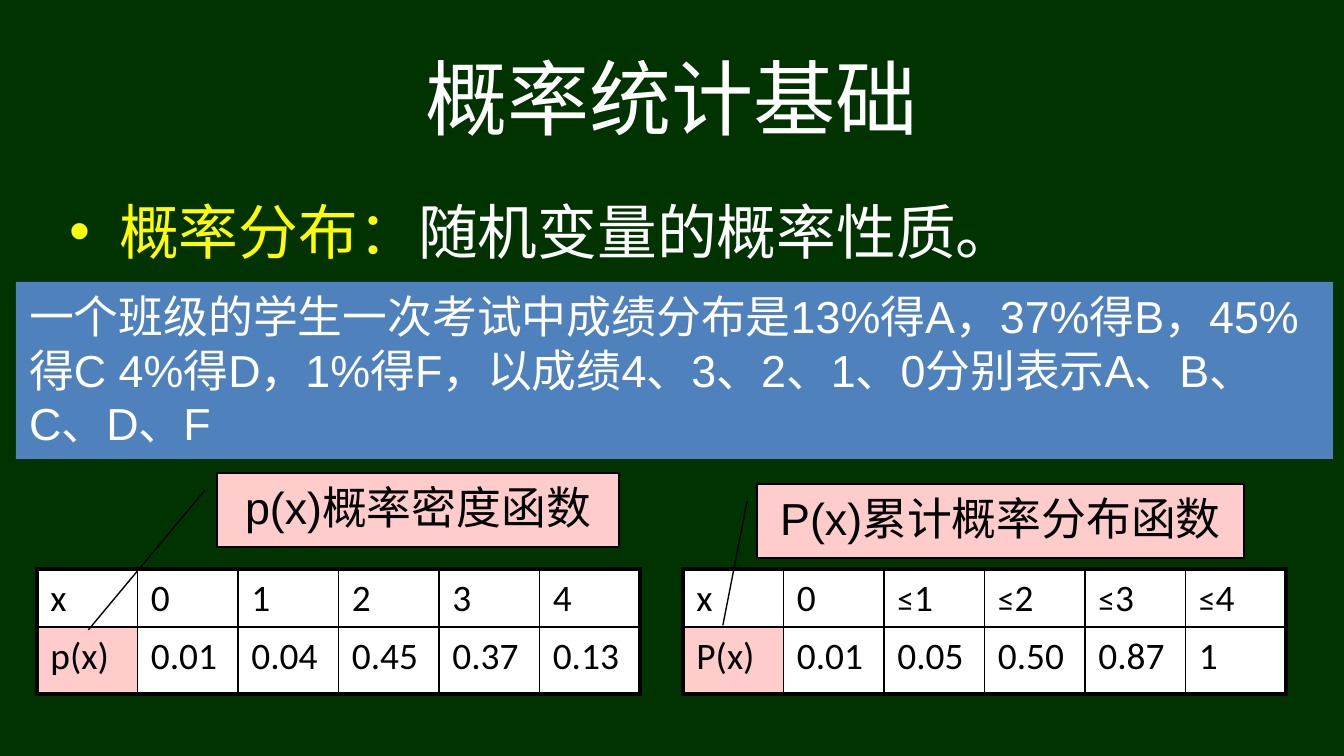
from dataclasses import dataclass

from lxml.etree import SubElement
from pptx import Presentation
from pptx.dml.color import RGBColor
from pptx.enum.shapes import MSO_SHAPE
from pptx.enum.text import MSO_ANCHOR, PP_ALIGN
from pptx.oxml.ns import qn
from pptx.util import Emu, Pt

EMU_PER_PX = 914400 / 134.4


@dataclass(frozen=True)
class Theme:
    background: str = "003300"
    light: str = "FFFFFF"
    dark: str = "000000"
    accent: str = "FFFF00"
    panel: str = "4F81BD"
    pink: str = "FFCCCC"
    font: str = "Arial"
    table_font: str = "Calibri"
    title_size: int = 44
    body_size: int = 32
    note_size: int = 24
    table_size: int = 20
    sign_size: int = 18
    inner_border: float = 1
    outer_border: float = 2.25


THEME = Theme()


@dataclass(frozen=True)
class Box:
    left: int
    top: int
    width: int
    height: int

    def emu(self) -> tuple:
        return tuple(px(n) for n in (self.left, self.top, self.width, self.height))


@dataclass(frozen=True)
class Callout:
    box: Box
    text: str
    adjustments: tuple


@dataclass(frozen=True)
class Distribution:
    box: Box
    rows: tuple
    callout: Callout


ROW_HEIGHTS = (58, 67)
DENSITY = Distribution(
    Box(37, 569, 603, sum(ROW_HEIGHTS)),
    (("x", "0", "1", "2", "3", "4"),
     ("p(x)", "0.01", "0.04", "0.45", "0.37", "0.13")),
    Callout(Box(217, 473, 402, 74), "p(x)概率密度函数", (0.23, -0.03, 2.12, -0.32)),
)
CUMULATIVE = Distribution(
    Box(683, 569, 603, sum(ROW_HEIGHTS)),
    (("x", "0", "≤1", "≤2", "≤3", "≤4"),
     ("P(x)", "0.01", "0.05", "0.50", "0.87", "1")),
    Callout(Box(757, 484, 487, 74), "P(x)累计概率分布函数", (0.23, -0.02, 1.91, -0.07)),
)


def px(length: float) -> Emu:
    return Emu(round(length * EMU_PER_PX))


def rgb(color: str) -> RGBColor:
    return RGBColor.from_string(color)


def add_run(paragraph, text: str, size: int, color: str, font: str = THEME.font) -> None:
    run = paragraph.add_run()
    run.text = text
    run.font.size = Pt(size)
    run.font.name = font
    run.font.color.rgb = rgb(color)


def add_title(slide, box: Box, text: str) -> None:
    title = slide.shapes.title
    title.left, title.top, title.width, title.height = box.emu()
    title.text_frame.vertical_anchor = MSO_ANCHOR.MIDDLE
    paragraph = title.text_frame.paragraphs[0]
    paragraph.alignment = PP_ALIGN.CENTER
    add_run(paragraph, text, THEME.title_size, THEME.light)


def add_definition(slide, box: Box, term: str, meaning: str) -> None:
    frame = slide.shapes.add_textbox(*box.emu()).text_frame
    frame.word_wrap = True
    paragraph = frame.paragraphs[0]
    properties = paragraph._p.get_or_add_pPr()
    properties.set("marL", str(px(50)))
    properties.set("indent", str(-px(50)))
    SubElement(properties, qn("a:buFont"), typeface=THEME.font)
    SubElement(properties, qn("a:buChar"), char="•")
    add_run(paragraph, term, THEME.body_size, THEME.accent)
    add_run(paragraph, meaning, THEME.body_size, THEME.light)


def add_panel(slide, kind: MSO_SHAPE, box: Box, text: str, fill: str, color: str,
              alignment: PP_ALIGN):
    shape = slide.shapes.add_shape(kind, *box.emu())
    shape.shadow.inherit = False
    shape.fill.solid()
    shape.fill.fore_color.rgb = rgb(fill)
    shape.line.fill.background()
    frame = shape.text_frame
    frame.word_wrap = True
    frame.vertical_anchor = MSO_ANCHOR.TOP
    paragraph = frame.paragraphs[0]
    paragraph.alignment = alignment
    add_run(paragraph, text, THEME.note_size, color)
    return shape


def add_callout(slide, callout: Callout) -> None:
    shape = add_panel(slide, MSO_SHAPE.LINE_CALLOUT_1, callout.box, callout.text,
                      THEME.pink, THEME.dark, PP_ALIGN.CENTER)
    shape.line.color.rgb = rgb(THEME.dark)
    shape.line.width = Pt(0.75)
    for index, value in enumerate(callout.adjustments):
        shape.adjustments[index] = value


def set_borders(cell, outer_sides: dict) -> None:
    """Draw all four borders, thick on the sides at the edge of the table."""
    properties = cell._tc.get_or_add_tcPr()
    for index, (side, is_outer) in enumerate(outer_sides.items()):
        width = THEME.outer_border if is_outer else THEME.inner_border
        line = SubElement(properties, qn(f"a:{side}"), w=str(Pt(width)))
        fill = SubElement(line, qn("a:solidFill"))
        SubElement(fill, qn("a:srgbClr"), val=THEME.dark)
        properties.insert(index, line)


def add_distribution_table(slide, distribution: Distribution) -> None:
    rows = distribution.rows
    last_row, last_column = len(rows) - 1, len(rows[0]) - 1
    table = slide.shapes.add_table(len(rows), len(rows[0]), *distribution.box.emu()).table
    for column in table.columns:
        column.width = px(distribution.box.width / len(rows[0]))
    for row, height in zip(table.rows, ROW_HEIGHTS):
        row.height = px(height)
    for i, values in enumerate(rows):
        for j, value in enumerate(values):
            cell = table.cell(i, j)
            is_function_name = i == last_row and j == 0
            cell.fill.solid()
            cell.fill.fore_color.rgb = rgb(THEME.pink if is_function_name else THEME.light)
            set_borders(cell, {"lnL": j == 0, "lnR": j == last_column,
                               "lnT": i == 0, "lnB": i == last_row})
            paragraph = cell.text_frame.paragraphs[0]
            number = value.removeprefix("≤")
            if number != value:
                add_run(paragraph, "≤", THEME.sign_size, THEME.dark, THEME.table_font)
            add_run(paragraph, number, THEME.table_size, THEME.dark, THEME.table_font)


def main() -> None:
    presentation = Presentation()
    presentation.slide_width, presentation.slide_height = px(1344), px(756)
    slide = presentation.slides.add_slide(presentation.slide_layouts[5])
    slide.background.fill.solid()
    slide.background.fill.fore_color.rgb = rgb(THEME.background)

    add_title(slide, Box(67, 31, 1210, 132), "概率统计基础")
    add_definition(slide, Box(56, 188, 1230, 90), "概率分布：", "随机变量的概率性质。")
    add_panel(slide, MSO_SHAPE.RECTANGLE, Box(16, 282, 1317, 177),
              "一个班级的学生一次考试中成绩分布是13%得A，37%得B，45%得C 4%得D，"
              "1%得F，以成绩4、3、2、1、0分别表示A、B、C、D、F",
              THEME.panel, THEME.light, PP_ALIGN.LEFT)
    for distribution in (DENSITY, CUMULATIVE):
        add_distribution_table(slide, distribution)
        add_callout(slide, distribution.callout)
    presentation.save("out.pptx")


if __name__ == "__main__":
    main()
